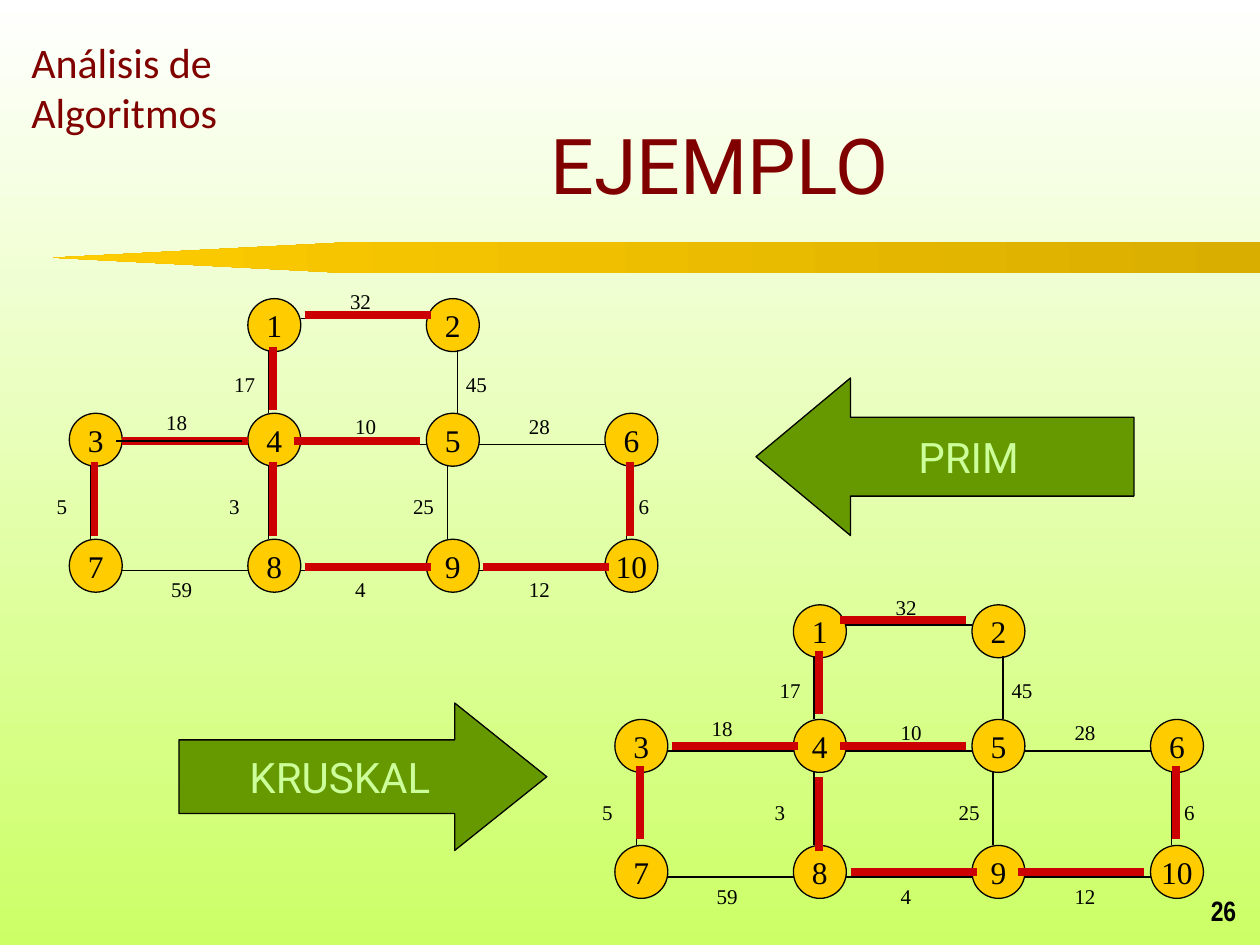
from lxml import etree
from pptx import Presentation
from pptx import util as u
from pptx.dml.color import RGBColor
from pptx.enum import shapes, text
from pptx.oxml.ns import qn

COLORS = {"maroon": "800000", "black": "000000", "gold": "FFCC00", "dark_gold": "DAAE00",
          "green": "669900", "pale_green": "CCFF99", "lime": "CCFF66", "white": "FFFFFF",
          "red": "CC0000"}
SERIF = "Times New Roman"
NODE_SIZE = 0.42
COLUMN_STEP = 1.417
ROW_TOPS = [2.37, 3.28, 4.28]
NODES = [(1, 0), (2, 0), (0, 1), (1, 1), (2, 1), (3, 1), (0, 2), (1, 2), (2, 2), (3, 2)]
WEIGHTS = [("32", 2.68, 2.24), ("10", 2.72, 3.23), ("4", 2.72, 4.53), ("18", 1.22, 3.2),
           ("5", 0.35, 3.87), ("59", 1.26, 4.53), ("12", 4.1, 4.53), ("6", 4.97, 3.87),
           ("28", 4.1, 3.23), ("25", 3.18, 3.87), ("3", 1.72, 3.87), ("45", 3.6, 2.9),
           ("17", 1.76, 2.9)]
HORIZONTAL_EDGES = [(1, 0), (1, 1), (1, 2), (0, 2), (2, 1), (2, 2)]
VERTICAL_EDGES = [(2.13, 2.78, 0.5), (3.63, 2.78, 0.5), (4.97, 3.7, 0.58),
                  (3.55, 3.7, 0.58), (2.13, 3.7, 0.58), (0.72, 3.7, 0.58)]
PRIM_TREE = [(2.17, 2.75, 0, 0.5), (2.17, 3.67, 0, 0.58), (2.42, 4.5, 1, 0),
             (2.33, 3.5, 1, 0), (3.83, 4.5, 1, 0), (5, 3.67, 0, 0.58),
             (0.75, 3.67, 0, 0.58), (2.42, 2.5, 1, 0)]
KRUSKAL_TREE = [(6.5, 6.17, 0, 0.58), (6.75, 6.92, 1, 0), (5.08, 6.08, 0, 0.58),
                (9.33, 6.08, 0, 0.58), (6.67, 5.92, 1, 0), (8.08, 6.92, 1, 0),
                (6.5, 5.17, 0, 0.5), (5.33, 5.92, 1, 0), (6.67, 4.92, 1, 0)]


def rgb(name):
    """Return the named colour."""
    return RGBColor.from_string(COLORS[name])


def set_gradient(fill, first, last, angle):
    """Apply a two-stop linear gradient."""
    fill.gradient()
    fill.gradient_angle = angle
    for stop, name in zip(fill.gradient_stops, (first, last)):
        stop.color.rgb = rgb(name)


def set_text(shape, content, size, font, color, align=text.PP_ALIGN.LEFT,
             anchor=text.MSO_ANCHOR.TOP, wrap=False, bold=False):
    """Fill a shape with uniformly formatted text."""
    frame = shape.text_frame
    frame.text = content
    frame.word_wrap = wrap
    frame.vertical_anchor = anchor
    for paragraph in frame.paragraphs:
        paragraph.alignment = align
        for run in paragraph.runs:
            run.font.size = u.Pt(size)
            run.font.name = font
            run.font.bold = bold
            run.font.color.rgb = rgb(color)


def add_text(slide, box, content, size, font, color, **options):
    """Add a text box."""
    shape = slide.shapes.add_textbox(*map(u.Inches, box))
    set_text(shape, content, size, font, color, **options)


def add_label_shape(slide, kind, box, fill, content, size, font, color):
    """Add an outlined preset shape with a centred label."""
    shape = slide.shapes.add_shape(kind, *map(u.Inches, box))
    shape.shadow.inherit = False
    shape.fill.solid()
    shape.fill.fore_color.rgb = rgb(fill)
    shape.line.color.rgb = rgb("black")
    shape.line.width = u.Pt(0.75)
    set_text(shape, content, size, font, color, text.PP_ALIGN.CENTER, text.MSO_ANCHOR.MIDDLE)
    return shape


def add_line(slide, x, y, width, height, color="black", weight=0.75):
    """Add a straight line from a start point and its extent."""
    ends = map(u.Inches, (x, y, x + width, y + height))
    line = slide.shapes.add_connector(shapes.MSO_CONNECTOR.STRAIGHT, *ends)
    line.line.color.rgb = rgb(color)
    line.line.width = u.Pt(weight)
    etree.SubElement(line._element.spPr, qn("a:effectLst"))


def add_tree_edge(slide, edge):
    """Add a thick spanning-tree edge."""
    add_line(slide, *edge, color="red", weight=4.5)


def add_graph(slide, dx=0, dy=0):
    """Add the weighted graph, shifted by the given offset."""
    for number, (column, row) in enumerate(NODES, 1):
        box = (0.55 + column * COLUMN_STEP + dx, ROW_TOPS[row] + dy, NODE_SIZE, NODE_SIZE)
        add_label_shape(slide, shapes.MSO_SHAPE.OVAL, box, "gold", str(number), 18, SERIF, "black")
    for column, row in HORIZONTAL_EDGES:
        add_line(slide, 0.97 + column * COLUMN_STEP + dx, 2.53 + row + dy, 1, 0)
    for x, y, height in VERTICAL_EDGES:
        add_line(slide, x + dx, y + dy, 0, height)
    for weight, x, y in WEIGHTS:
        width = 0.37 if len(weight) == 2 else 0.28
        add_text(slide, (x + dx, y + dy, width, 0.3), weight, 12, SERIF, "black")


def add_band(slide):
    """Add the pointed band under the title."""
    box = map(u.Inches, (0.42, 1.92, 9.58, 0.25))
    band = slide.shapes.add_shape(shapes.MSO_SHAPE.PENTAGON, *box)
    band.shadow.inherit = False
    band.adjustments[0] = 9.583
    band.line.fill.background()
    set_gradient(band.fill, "dark_gold", "gold", 0)
    band._element.spPr.find(qn("a:xfrm")).set("flipH", "1")


def add_arrow(slide, kind, box, head, content):
    """Add a block arrow naming an algorithm."""
    arrow = add_label_shape(slide, kind, box, "green", content, 24, "Roboto", "pale_green")
    arrow.adjustments[0] = 0.5
    arrow.adjustments[1] = head


def main():
    """Build and save the slide."""
    presentation = Presentation()
    presentation.slide_width = u.Inches(10)
    presentation.slide_height = u.Inches(7.5)
    slide = presentation.slides.add_slide(presentation.slide_layouts[6])
    set_gradient(slide.background.fill, "white", "lime", 270)
    add_band(slide)
    add_text(slide, (0.15, 0.24, 2.27, 0.9), "Análisis de\nAlgoritmos", 24, "Calibri", "maroon",
             wrap=True)
    add_text(slide, (7.83, 7.08, 2.08, 0.33), "26", 16, "Arial Narrow", "black", wrap=True,
             align=text.PP_ALIGN.RIGHT, anchor=text.MSO_ANCHOR.BOTTOM, bold=True)
    add_text(slide, (2.17, 0.67, 7.08, 1.25), "EJEMPLO", 44, "Roboto", "maroon", wrap=True,
             align=text.PP_ALIGN.CENTER, anchor=text.MSO_ANCHOR.MIDDLE)
    add_graph(slide)
    add_tree_edge(slide, (0.97, 3.5, 1, 0))
    add_graph(slide, 4.33, 2.43)
    add_line(slide, 5.3, 5.96, 1, 0)
    add_arrow(slide, shapes.MSO_SHAPE.RIGHT_ARROW, (1.42, 5.58, 2.92, 1.17), 0.625, "KRUSKAL")
    add_arrow(slide, shapes.MSO_SHAPE.LEFT_ARROW, (6, 3, 3, 1.25), 0.6, "PRIM")
    for edge in PRIM_TREE + KRUSKAL_TREE:
        add_tree_edge(slide, edge)
    add_line(slide, 0.92, 3.5, 1, 0)
    presentation.save("out.pptx")


if __name__ == "__main__":
    main()
